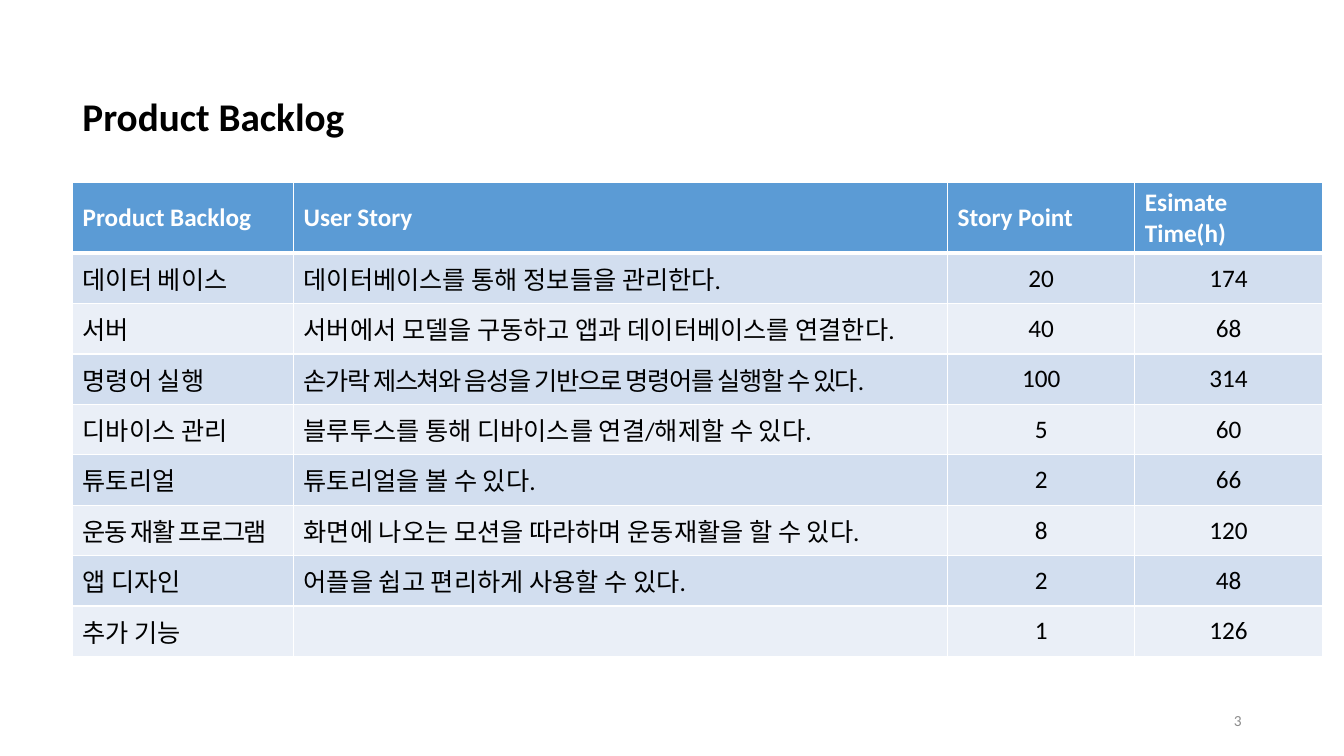
import pptx
import pptx.util
import pptx.dml.color
import pptx.enum.text
import pptx.oxml
import pptx.oxml.ns

Cm = pptx.util.Cm
ALIGN = pptx.enum.text.PP_ALIGN
ANCHOR = pptx.enum.text.MSO_ANCHOR


def color(hex_string):
    return pptx.dml.color.RGBColor.from_string(hex_string)


class SlideBuilder:
    font_name = "Calibri"
    black, white, gray = "000000", "FFFFFF", "8C8C8C"
    header_fill = "5B9BD5"
    band_fills = ("D2DEEF", "EAEFF7")

    def __init__(self, slide):
        self.slide = slide

    def add_text(self, frame, text, size, text_color, bold=False, align=ALIGN.LEFT, spacing=0):
        paragraph = frame.paragraphs[0]
        paragraph.alignment = align
        run = paragraph.add_run()
        run.text = text
        run.font.name = self.font_name
        run.font.size = pptx.util.Pt(size)
        run.font.bold = bold
        run.font.color.rgb = color(text_color)
        if spacing:
            run.font._element.set("spc", str(round(spacing * 100)))

    def text_box(self, left, top, width, height, text, size, text_color,
                 anchor=ANCHOR.TOP, **style):
        box = self.slide.shapes.add_textbox(Cm(left), Cm(top), Cm(width), Cm(height))
        box.text_frame.word_wrap = True
        box.text_frame.vertical_anchor = anchor
        self.add_text(box.text_frame, text, size, text_color, **style)

    def border(self, cell, side, width):
        cell._tc.get_or_add_tcPr().append(pptx.oxml.parse_xml(
            f'<a:ln{side} {pptx.oxml.ns.nsdecls("a")} w="{pptx.util.Pt(width)}">'
            f'<a:solidFill><a:srgbClr val="{self.white}"/></a:solidFill></a:ln{side}>'))

    def table(self, left, top, column_widths, row_height, rows, tight_texts):
        table = self.slide.shapes.add_table(
            len(rows), len(column_widths), Cm(left), Cm(top),
            Cm(sum(column_widths)), Cm(row_height * len(rows))).table
        for column, width in zip(table.columns, column_widths):
            column.width = Cm(width)
        for row_index, values in enumerate(rows):
            table.rows[row_index].height = Cm(row_height)
            is_header = row_index == 0
            fill = self.header_fill if is_header else self.band_fills[(row_index - 1) % 2]
            for column_index, value in enumerate(values):
                cell = table.cell(row_index, column_index)
                cell.vertical_anchor = ANCHOR.MIDDLE
                # Thick white rule between header and body
                for side, width in (("L", 1), ("R", 1), ("T", 3 if row_index == 1 else 1),
                                    ("B", 3 if is_header else 1)):
                    self.border(cell, side, width)
                cell.fill.solid()
                cell.fill.fore_color.rgb = color(fill)
                if value != "":
                    self.add_text(cell.text_frame, str(value), 18,
                                  self.white if is_header else self.black, bold=is_header,
                                  align=ALIGN.CENTER if isinstance(value, int) else ALIGN.LEFT,
                                  spacing=-1 if value in tight_texts else 0)


presentation = pptx.Presentation()
presentation.slide_width = Cm(33.87)
presentation.slide_height = Cm(19.05)
builder = SlideBuilder(presentation.slides.add_slide(presentation.slide_layouts[6]))

# Title
builder.text_box(1.83, 2.21, 8.41, 1.45, "Product Backlog", 28, builder.black, bold=True)

# Backlog table
command_story = "손가락 제스쳐와 음성을 기반으로 명령어를 실행할 수 있다."
exercise_program = "운동 재활 프로그램"
backlog = [
    ("Product Backlog", "User Story", "Story Point", "Esimate Time(h)"),
    ("데이터 베이스", "데이터베이스를 통해 정보들을 관리한다.", 20, 174),
    ("서버", "서버에서 모델을 구동하고 앱과 데이터베이스를 연결한다.", 40, 68),
    ("명령어 실행", command_story, 100, 314),
    ("디바이스 관리", "블루투스를 통해 디바이스를 연결/해제할 수 있다.", 5, 60),
    ("튜토리얼", "튜토리얼을 볼 수 있다.", 2, 66),
    (exercise_program, "화면에 나오는 모션을 따라하며 운동재활을 할 수 있다.", 8, 120),
    ("앱 디자인", "어플을 쉽고 편리하게 사용할 수 있다.", 2, 48),
    ("추가 기능", "", 1, 126),
]
builder.table(1.83, 4.6, (5.57, 16.48, 4.72, 4.72), 1.27, backlog,
              tight_texts=(command_story, exercise_program))

# Page number
builder.text_box(23.92, 17.66, 7.62, 1.01, "3", 11, builder.gray,
                 anchor=ANCHOR.MIDDLE, align=ALIGN.RIGHT)

presentation.save("out.pptx")
